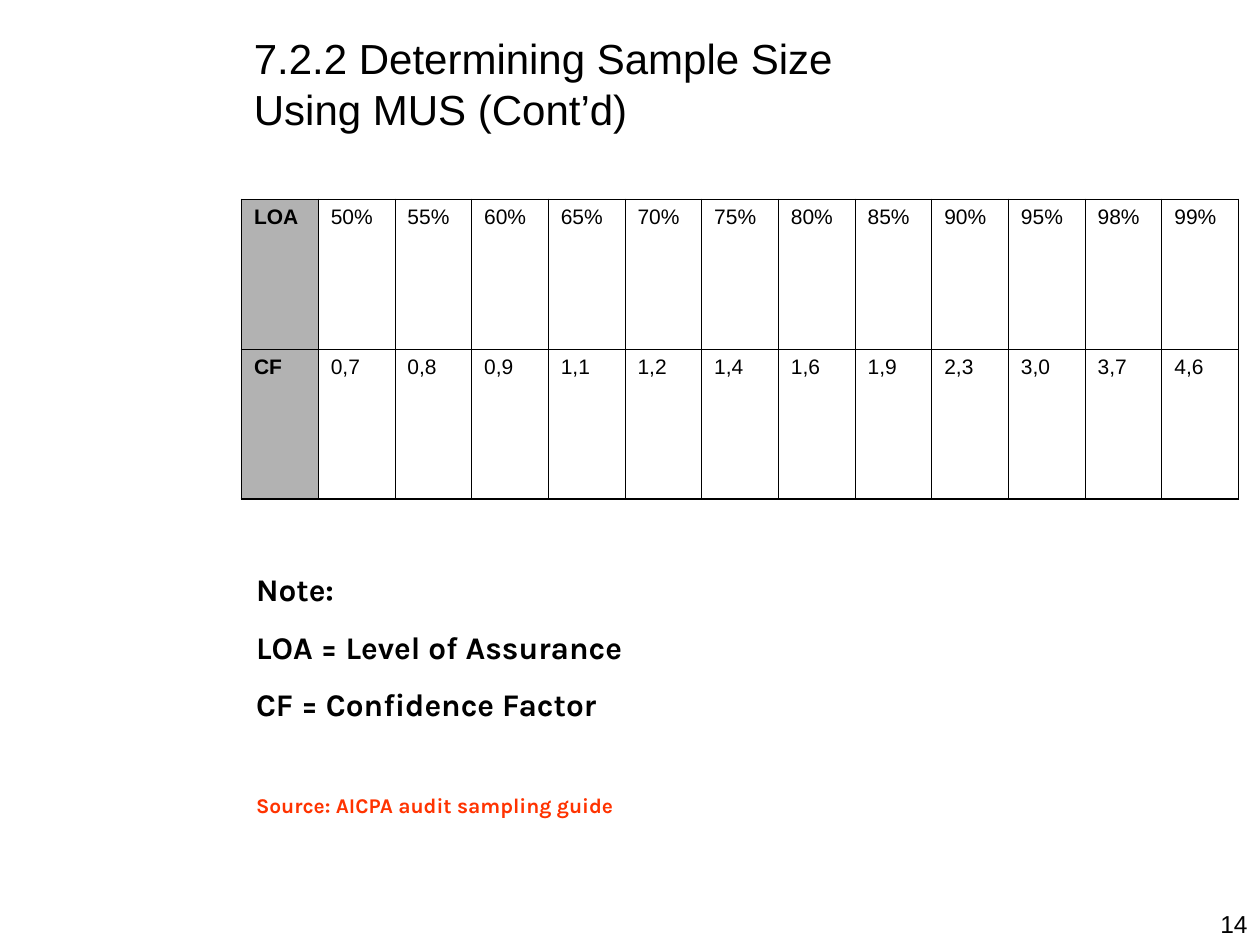
from dataclasses import dataclass

from lxml.etree import SubElement
from pptx import Presentation
from pptx.dml.color import RGBColor
from pptx.enum.text import MSO_ANCHOR, PP_ALIGN
from pptx.oxml.ns import qn
from pptx.util import Inches, Pt

TOP, MIDDLE, BOTTOM = MSO_ANCHOR.TOP, MSO_ANCHOR.MIDDLE, MSO_ANCHOR.BOTTOM
LEFT, RIGHT = PP_ALIGN.LEFT, PP_ALIGN.RIGHT
GRID_COLUMNS, GRID_ROWS = 120, 90

FACTORS = {
    "LOA": "CF", "50%": "0,7", "55%": "0,8", "60%": "0,9", "65%": "1,1",
    "70%": "1,2", "75%": "1,4", "80%": "1,6", "85%": "1,9", "90%": "2,3",
    "95%": "3,0", "98%": "3,7", "99%": "4,6",
}


@dataclass(frozen=True)
class Theme:
    """Colours, fonts, type sizes and line widths of the slide."""
    ink: str = "000000"
    paper: str = "FFFFFF"
    header: str = "B2B2B2"
    accent: str = "FF3300"
    font: str = "Arial"
    note_font: str = "Karla"
    title: int = 24
    note: int = 18
    number: int = 14
    small: int = 12
    outer_line: float = 1.08
    inner_line: float = 0.45


def write(para, text, *, size, font, color, bold=False, align=LEFT, before=0):
    """Fill a paragraph with text in one format."""
    para.text = text
    para.alignment = align
    para.space_before = Pt(before)
    for span in para.runs:
        span.font.size = Pt(size)
        span.font.name = font
        span.font.bold = bold
        span.font.color.rgb = RGBColor.from_string(color)


class SlideBuilder:
    """Places styled elements on a slide by grid columns and rows."""

    def __init__(self, deck, theme):
        """Add a blank slide to the deck."""
        self.theme = theme
        self.column = deck.slide_width / GRID_COLUMNS
        self.row = deck.slide_height / GRID_ROWS
        self.page = deck.slides.add_slide(deck.slide_layouts[6])

    def place(self, left, top, width, height):
        """Turn grid units into slide lengths."""
        return (round(left * self.column), round(top * self.row),
                round(width * self.column), round(height * self.row))

    def text(self, area, lines, anchor=TOP, bottom_inset=0.05):
        """Add a text box from pairs of text and format."""
        frame = self.page.shapes.add_textbox(*self.place(*area)).text_frame
        frame.word_wrap = True
        frame.vertical_anchor = anchor
        frame.margin_bottom = Inches(bottom_inset)
        for index, (text, style) in enumerate(lines):
            para = frame.add_paragraph() if index else frame.paragraphs[0]
            write(para, text, **style)

    def border(self, cell, side, width):
        """Draw one side of a table cell."""
        line = SubElement(cell._tc.get_or_add_tcPr(), qn(f"a:ln{side}"), w=str(Pt(width)))
        fill = SubElement(line, qn("a:solidFill"))
        SubElement(fill, qn("a:srgbClr"), val=self.theme.ink)

    def table(self, area, rows):
        """Add a ruled table whose first column is the header."""
        theme = self.theme
        height, width = len(rows), len(rows[0])
        table = self.page.shapes.add_table(height, width, *self.place(*area)).table
        table.first_row = table.horz_banding = False
        for r, values in enumerate(rows):
            for c, value in enumerate(values):
                cell = table.cell(r, c)
                edges = {"L": c == 0, "R": c == width - 1, "T": r == 0, "B": r == height - 1}
                for side, outer in edges.items():
                    self.border(cell, side, theme.outer_line if outer else theme.inner_line)
                cell.fill.solid()
                cell.fill.fore_color.rgb = RGBColor.from_string(theme.paper if c else theme.header)
                write(cell.text_frame.paragraphs[0], value, size=theme.small,
                      font=theme.font, color=theme.ink, bold=c == 0)


def main():
    """Build and save the slide."""
    deck = Presentation()
    deck.slide_width, deck.slide_height = Inches(10), Inches(7.5)
    theme = Theme()
    slide = SlideBuilder(deck, theme)
    plain = dict(font=theme.font, color=theme.ink)
    note = dict(size=theme.note, font=theme.note_font, color=theme.ink, bold=True)
    spaced = dict(note, before=11.2)
    source = dict(note, size=theme.small, color=theme.accent, before=40)

    slide.text((23, 0.4, 95, 15), [
        ("7.2.2 Determining Sample Size\vUsing MUS (Cont’d)", dict(plain, size=theme.title)),
    ], anchor=MIDDLE)
    slide.table((23, 19, 95, 28.5), [list(FACTORS), list(FACTORS.values())])
    slide.text((23.2, 52.3, 89.9, 28.6), [
        ("Note:", note),
        ("LOA = Level of Assurance", spaced),
        ("CF = Confidence Factor", spaced),
        ("Source: AICPA audit sampling guide", source),
    ], anchor=BOTTOM, bottom_inset=0.25)
    slide.text((95, 86, 25, 4), [("14", dict(plain, size=theme.number, align=RIGHT))])
    deck.save("out.pptx")


if __name__ == "__main__":
    main()
